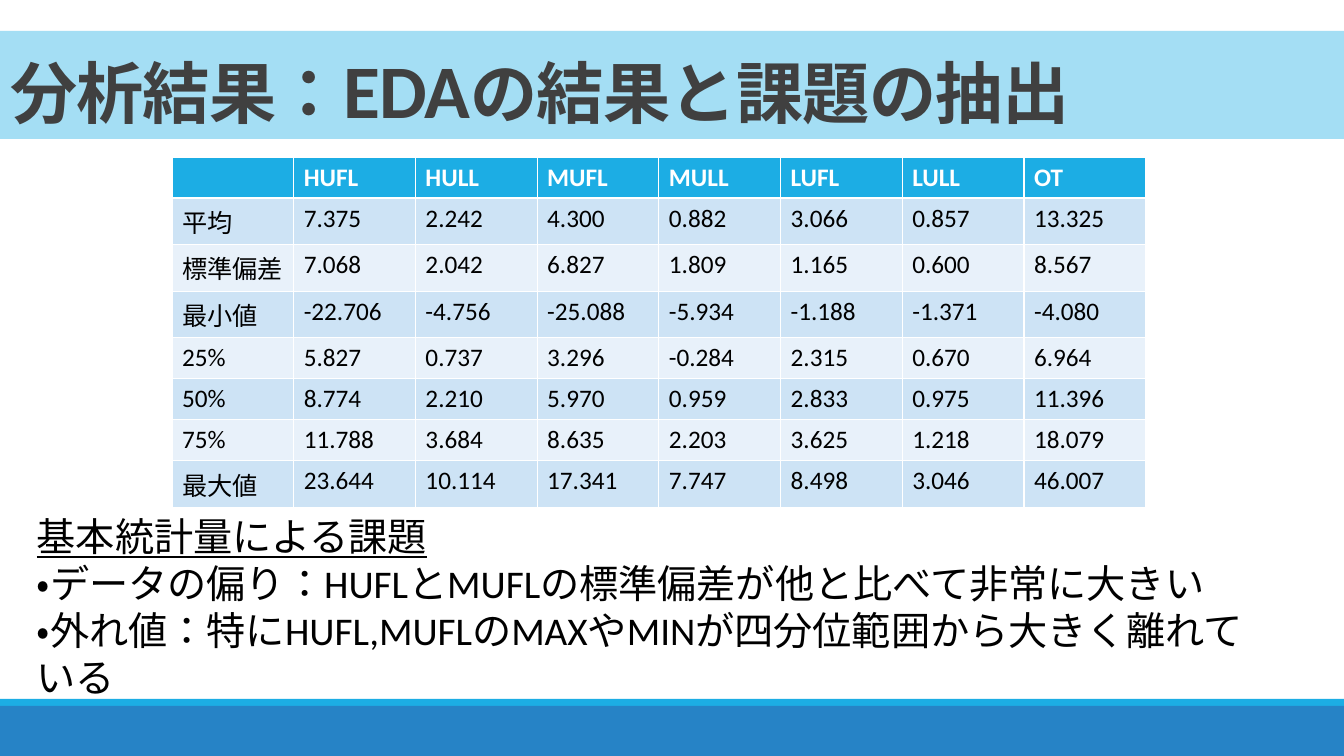
from pptx import Presentation
from pptx import util as u
from pptx.dml.color import RGBColor
from pptx.enum import shapes, text

SCALE = 914400 / 100.8
FONT = "Calibri"
WHITE = RGBColor(0xFF, 0xFF, 0xFF)
BLACK = RGBColor(0, 0, 0)
GREY = RGBColor(0x40, 0x40, 0x40)
SKY = RGBColor(0xA4, 0xDE, 0xF4)
CYAN = RGBColor(0x1C, 0xAD, 0xE4)
BLUE = RGBColor(0x26, 0x83, 0xC6)
BANDS = [RGBColor(0xCD, 0xE3, 0xF5), RGBColor(0xE8, 0xF1, 0xFA)]

TITLE = [("分析結果：", 48), ("EDA", 54), ("の結果と課題の抽出", 48)]
STATS = [
    ["", "HUFL", "HULL", "MUFL", "MULL", "LUFL", "LULL", "OT"],
    ["平均", "7.375", "2.242", "4.300", "0.882", "3.066", "0.857", "13.325"],
    ["標準偏差", "7.068", "2.042", "6.827", "1.809", "1.165", "0.600", "8.567"],
    ["最小値", "-22.706", "-4.756", "-25.088", "-5.934", "-1.188", "-1.371", "-4.080"],
    ["25%", "5.827", "0.737", "3.296", "-0.284", "2.315", "0.670", "6.964"],
    ["50%", "8.774", "2.210", "5.970", "0.959", "2.833", "0.975", "11.396"],
    ["75%", "11.788", "3.684", "8.635", "2.203", "3.625", "1.218", "18.079"],
    ["最大値", "23.644", "10.114", "17.341", "7.747", "8.498", "3.046", "46.007"],
]
ISSUES = [
    "基本統計量による課題",
    "・データの偏り：HUFLとMUFLの標準偏差が他と比べて非常に大きい",
    "・外れ値：特にHUFL,MUFLのMAXやMINが四分位範囲から大きく離れている",
]


def px(*sizes):
    """Turn pixel lengths into a list of EMU lengths."""
    return [u.Emu(round(size * SCALE)) for size in sizes]


def style(run, size, color, bold=False, under=False):
    """Format one run of text."""
    font = run.font
    font.name, font.size, font.bold, font.underline = FONT, u.Pt(size), bold, under
    font.color.rgb = color
    run._r.get_or_add_rPr().set("lang", "ja-JP")


def paint(shape, color):
    """Give a shape or a cell a plain fill."""
    shape.fill.solid()
    shape.fill.fore_color.rgb = color


def add_foot(slide, left, top, width, height):
    """Draw the thin stripe and the wide bar under it."""
    stripe = 7
    for y, tall, color in [(top, stripe, CYAN), (top + stripe, height - stripe, BLUE)]:
        bar = slide.shapes.add_shape(shapes.MSO_SHAPE.RECTANGLE, *px(left, y, width, tall))
        bar.shadow.inherit = False
        paint(bar, color)
        bar.line.fill.background()


def set_title(slide, left, top, width, height):
    """Place the title band and fill in its text."""
    title = slide.shapes.title
    title.left, title.top, title.width, title.height = px(left, top, width, height)
    paint(title, SKY)
    frame = title.text_frame
    frame.auto_size = text.MSO_AUTO_SIZE.NONE
    frame.vertical_anchor = text.MSO_ANCHOR.BOTTOM
    para = frame.paragraphs[0]
    para.alignment = text.PP_ALIGN.LEFT
    para.line_spacing = 0.85
    for words, size in TITLE:
        run = para.add_run()
        run.text = words
        style(run, size, GREY, bold=True)
        run._r.get_or_add_rPr().set("spc", "-50")


def add_stats(slide, left, top, width, height):
    """Draw the table of basic statistics."""
    box = px(left, top, width, height)
    table = slide.shapes.add_table(len(STATS), len(STATS[0]), *box).table
    for i, row in enumerate(STATS):
        head = i == 0
        for j, value in enumerate(row):
            cell = table.cell(i, j)
            paint(cell, CYAN if head else BANDS[(i - 1) % 2])
            cell.text_frame.text = value
            for run in cell.text_frame.paragraphs[0].runs:
                style(run, 18, WHITE if head else BLACK, bold=head)


def add_issues(slide, left, top, width, height):
    """Write the underlined heading and the issues below it."""
    frame = slide.shapes.add_textbox(*px(left, top, width, height)).text_frame
    frame.word_wrap = True
    frame.text = "\n".join(ISSUES)
    for i, para in enumerate(frame.paragraphs):
        style(para.runs[0], 28, BLACK, under=i == 0)


def main():
    """Build the slide and save it."""
    deck = Presentation()
    deck.slide_width, deck.slide_height = px(1344, 756)
    slide = deck.slides.add_slide(deck.slide_layouts[5])
    add_foot(slide, 0, 699, 1344, 57)
    set_title(slide, 0, 31, 1344, 108)
    add_stats(slide, 172, 157, 974, 328)
    add_issues(slide, 27, 507, 1263, 183)
    deck.save("out.pptx")


if __name__ == "__main__":
    main()
